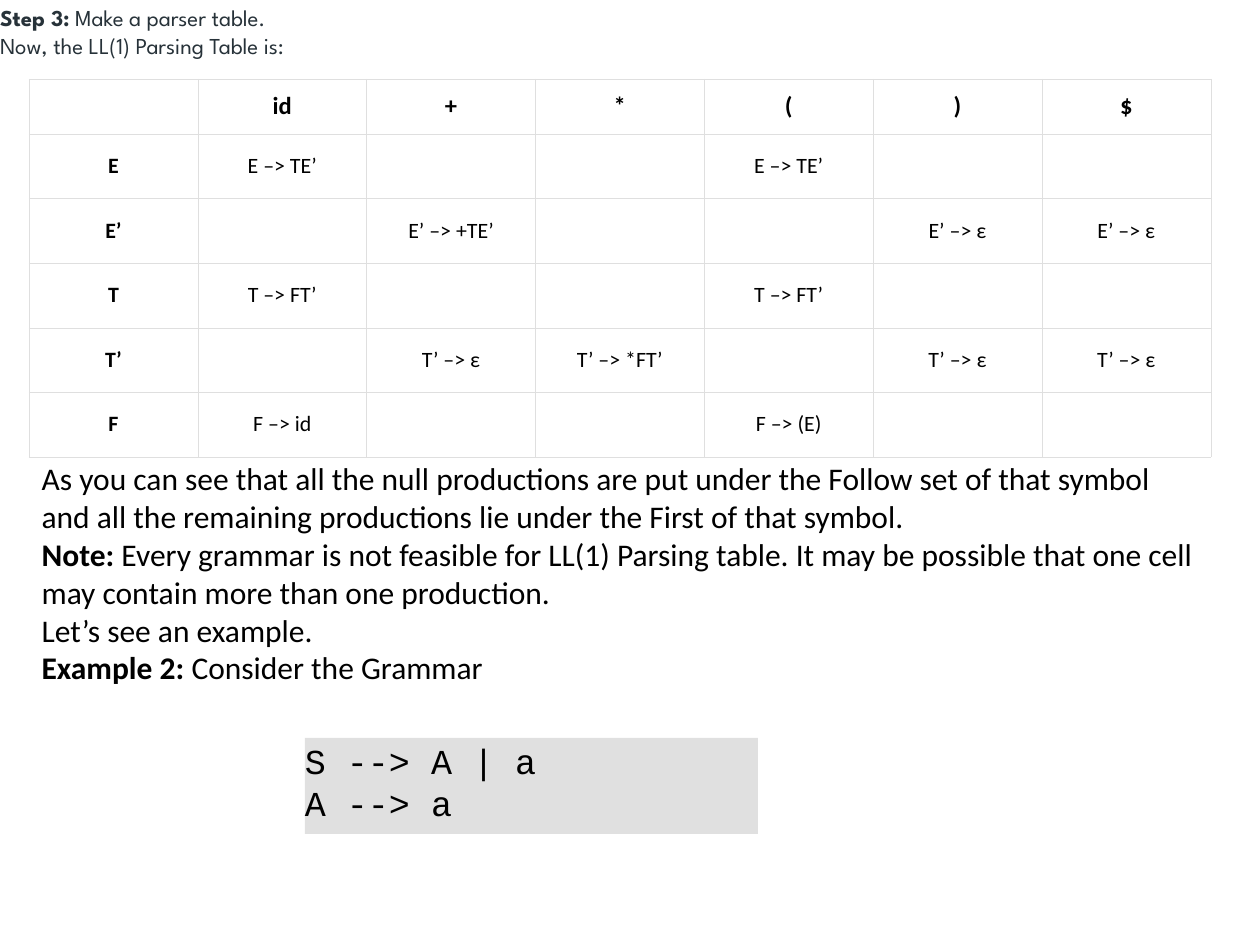
from lxml.etree import SubElement
from pptx import Presentation
from pptx.dml.color import RGBColor
from pptx.enum.shapes import MSO_SHAPE
from pptx.enum.text import MSO_ANCHOR, MSO_AUTO_SIZE, PP_ALIGN
from pptx.oxml.ns import qn
from pptx.util import Inches, Pt

PX_PER_INCH = 126
HEADING_FONT = {"name": "League Spartan", "size": Pt(13)}
NOTES_FONT = {"name": "Calibri", "size": Pt(18)}
CODE_FONT = {"name": "Courier New", "size": Pt(20)}
HEADER_FONT = {"name": "Calibri", "size": Pt(14), "bold": True}
SYMBOL_FONT = {"name": "Calibri", "size": Pt(12.5), "bold": True}
RULE_FONT = {"name": "Calibri", "size": Pt(12.5), "bold": False}

HEADING = [("Step 3:", " Make a parser table."),
           ("", "Now, the LL(1) Parsing Table is:")]
TERMINALS = ["id", "+", "*", "(", ")", "$"]
PRODUCTIONS = {
    "E": {"id": "TE’", "(": "TE’"},
    "E’": {"+": "+TE’", ")": "ε", "$": "ε"},
    "T": {"id": "FT’", "(": "FT’"},
    "T’": {"+": "ε", "*": "*FT’", ")": "ε", "$": "ε"},
    "F": {"id": "id", "(": "(E)"},
}
NOTES = [
    ("", "As you can see that all the null productions are put under the Follow set "
         "of that symbol and all the remaining productions lie under the First of that symbol."),
    ("Note:", " Every grammar is not feasible for LL(1) Parsing table. "
              "It may be possible that one cell may contain more than one production."),
    ("", "Let’s see an example."),
    ("Example 2:", " Consider the Grammar"),
]
GRAMMAR = "S --> A | a\vA --> a"


def px(count):
    return round(Inches(1) * count / PX_PER_INCH)


def color(hex_string):
    return RGBColor.from_string(hex_string)


def apply(target, values):
    for name, value in values.items():
        setattr(target, name, value)


def place(shape, box):
    apply(shape, dict(zip(("left", "top", "width", "height"), map(px, box))))


def fill(target, hex_string):
    target.fill.solid()
    target.fill.fore_color.rgb = color(hex_string)


def style_font(font, values, hex_string="000000"):
    apply(font, values)
    font.color.rgb = color(hex_string)


def frame_format(anchor, side, top, bottom):
    return {"vertical_anchor": anchor, "word_wrap": True,
            "auto_size": MSO_AUTO_SIZE.NONE,
            "margin_left": side, "margin_right": side,
            "margin_top": top, "margin_bottom": bottom}


def write_lead_ins(frame, lines, font, hex_string, alignment):
    """Write one paragraph per (bold lead-in, plain text) pair."""
    for index, line in enumerate(lines):
        paragraph = frame.add_paragraph() if index else frame.paragraphs[0]
        apply(paragraph, {"alignment": alignment, "space_before": Pt(0)})
        for text, bold in zip(line, (True, False)):
            if text:
                run = paragraph.add_run()
                run.text = text
                style_font(run.font, {**font, "bold": bold}, hex_string)


def add_heading(slide, box):
    title = slide.shapes.title
    place(title, box)
    fill(title, "FFFFFF")
    apply(title.text_frame, frame_format(MSO_ANCHOR.MIDDLE, 0, 0, 0))
    write_lead_ins(title.text_frame, HEADING, HEADING_FONT, "273239", PP_ALIGN.JUSTIFY)


def add_borders(cell, hex_string):
    properties = cell._tc.get_or_add_tcPr()
    for side in ("lnL", "lnR", "lnT", "lnB"):
        line = SubElement(properties, qn(f"a:{side}"), w=str(Pt(0.25)))
        SubElement(SubElement(line, qn("a:solidFill")), qn("a:srgbClr"), val=hex_string)


def fill_cell(cell, text, font, vertical_margin):
    add_borders(cell, "DFDFDF")
    fill(cell, "FFFFFF")
    apply(cell, {"vertical_anchor": MSO_ANCHOR.MIDDLE,
                 "margin_left": Inches(0.1), "margin_right": Inches(0.1),
                 "margin_top": vertical_margin, "margin_bottom": vertical_margin})
    cell.text = text
    paragraph = cell.text_frame.paragraphs[0]
    paragraph.alignment = PP_ALIGN.CENTER
    style_font(paragraph.font, font)
    for run in paragraph.runs:
        style_font(run.font, font)


def add_parsing_table(slide, box, header_height):
    rows, columns = len(PRODUCTIONS) + 1, len(TERMINALS) + 1
    table = slide.shapes.add_table(rows, columns, *map(px, box)).table
    apply(table, {"first_row": False, "horz_banding": False})
    for column in table.columns:
        column.width = px(box[2] / columns)
    for row in table.rows:
        row.height = px((box[3] - header_height) / (rows - 1))
    table.rows[0].height = px(header_height)

    for column, terminal in enumerate(["", *TERMINALS]):
        fill_cell(table.cell(0, column), terminal, HEADER_FONT, Inches(0.1))
    for row, (symbol, rules) in enumerate(PRODUCTIONS.items(), start=1):
        fill_cell(table.cell(row, 0), symbol, SYMBOL_FONT, Inches(0.15))
        for column, terminal in enumerate(TERMINALS, start=1):
            rule = f"{symbol} –> {rules[terminal]}" if terminal in rules else ""
            fill_cell(table.cell(row, column), rule, RULE_FONT, Inches(0.15))


def add_notes(slide, box):
    body = slide.placeholders[1]
    place(body, box)
    apply(body.text_frame, frame_format(MSO_ANCHOR.TOP, Inches(0.1), Inches(0.05), Inches(0.05)))
    write_lead_ins(body.text_frame, NOTES, NOTES_FONT, "000000", PP_ALIGN.LEFT)
    for paragraph in body.text_frame.paragraphs:
        properties = paragraph._p.get_or_add_pPr()
        properties.set("marL", "0")
        properties.set("indent", "0")
        SubElement(properties, qn("a:buNone"))


def add_grammar(slide, box):
    panel = slide.shapes.add_shape(MSO_SHAPE.RECTANGLE, *map(px, box))
    panel.shadow.inherit = False
    panel.line.fill.background()
    fill(panel, "E0E0E0")
    apply(panel.text_frame, frame_format(MSO_ANCHOR.MIDDLE, 0, 0, px(10)))
    paragraph = panel.text_frame.paragraphs[0]
    paragraph.text = GRAMMAR
    paragraph.alignment = PP_ALIGN.LEFT
    style_font(paragraph.font, CODE_FONT)
    for run in paragraph.runs:
        style_font(run.font, CODE_FONT)


def main():
    presentation = Presentation()
    apply(presentation, {"slide_width": px(1260), "slide_height": px(945)})
    slide = presentation.slides.add_slide(presentation.slide_layouts[1])
    add_parsing_table(slide, (29, 79, 1182, 370), header_height=55)
    add_heading(slide, (0, 0, 1260, 63))
    add_notes(slide, (29, 453, 1182, 242))
    add_grammar(slide, (305, 738, 453, 96))
    presentation.save("out.pptx")


if __name__ == "__main__":
    main()
